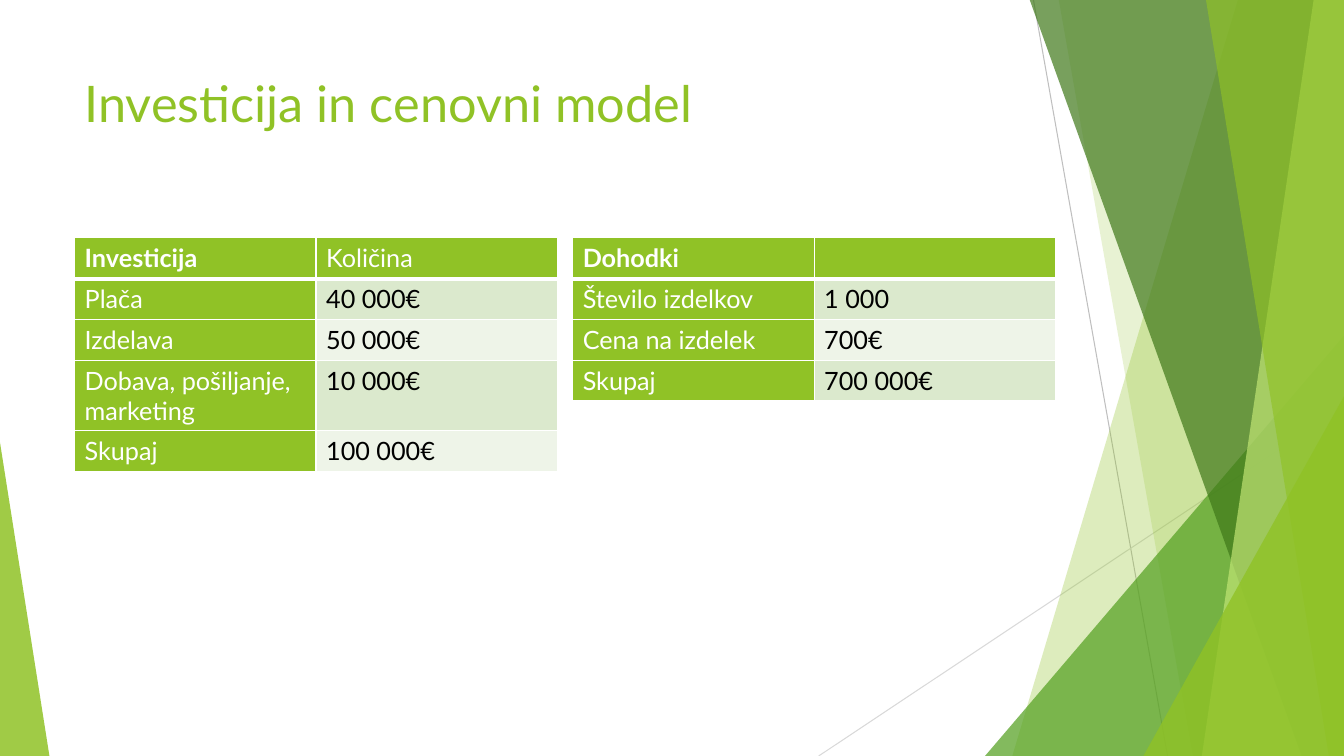
from dataclasses import dataclass

from lxml import etree
from pptx import Presentation
from pptx.dml.color import RGBColor
from pptx.enum.shapes import MSO_CONNECTOR, MSO_SHAPE
from pptx.oxml.ns import qn
from pptx.util import Inches, Pt

LINE = MSO_CONNECTOR.STRAIGHT
WEDGE = MSO_SHAPE.ISOSCELES_TRIANGLE


@dataclass(frozen=True)
class Theme:
    font: str = "Lato"
    lime: str = "90C226"
    leaf: str = "54A021"
    moss: str = "3F7819"
    pale: str = "C0E474"
    white: str = "FFFFFF"
    black: str = "000000"
    bands: tuple = ("DBE9CD", "EEF4E8")
    head: int = 36
    body: int = 18


T = Theme()
WIDE, HIGH = 13.33, 7.5
LEFT, TOP = 0.74, 2.36
COL, ROW, STEP = 2.395, 0.405, 4.94

TITLE = "Investicija in cenovni model"
TABLES = [
    [("Investicija", "Količina"),
     ("Plača", "40 000€"),
     ("Izdelava", "50 000€"),
     ("Dobava, pošiljanje, marketing", "10 000€"),
     ("Skupaj", "100 000€")],
    [("Dohodki", ""),
     ("Število izdelkov", "1 000"),
     ("Cena na izdelek", "700€"),
     ("Skupaj", "700 000€")],
]
RULES = [
    (10.25, 0, 11.58, HIGH, "BFBFBF"),
    (WIDE, 4.03, 8.12, HIGH, "D9D9D9"),
]
DECOR = [
    ("veil", 12.28, 10.04, T.lime, 30),
    ("veil", 10.5, 11.83, T.lime, 20),
    ("wedge", 9.77, 3.33, 3.56, 1, T.leaf, 72),
    ("veil", 10.21, 12.91, T.moss, 70),
    ("veil", 13.03, 11.92, T.pale, 70),
    ("veil", 11.96, 13.18, T.lime, 65),
    ("wedge", 11.34, 3.93, 1.99, 1, T.lime, 80),
    ("wedge", 0, 4.39, 0.49, 0, T.lime, 85),
]


def rgb(tint):
    return RGBColor.from_string(tint)


def style(para, size, tint, bold=False):
    font = para.font
    font.name, font.size, font.bold = T.font, Pt(size), bold
    font.color.rgb = rgb(tint)


def paint(shape, tint, alpha):
    shape.shadow.inherit = False
    shape.line.fill.background()
    shape.fill.solid()
    shape.fill.fore_color.rgb = rgb(tint)
    color = shape._element.spPr.find(qn("a:solidFill")).find(qn("a:srgbClr"))
    etree.SubElement(color, qn("a:alpha"), val=str(alpha * 1000))


def rule(shapes, x1, y1, x2, y2, tint):
    line = shapes.add_connector(LINE, *map(Inches, (x1, y1, x2, y2)))
    line.line.color.rgb = rgb(tint)
    line.line.width = Pt(0.75)
    etree.SubElement(line._element.spPr, qn("a:effectLst"))


def veil(shapes, top, foot, tint, alpha):
    pen = shapes.build_freeform(Inches(top), Inches(-0.01))
    ends = [(WIDE, -0.01), (WIDE, HIGH), (foot, HIGH)]
    pen.add_line_segments([(Inches(x), Inches(y)) for x, y in ends])
    paint(pen.convert_to_shape(), tint, alpha)


def wedge(shapes, x, y, wide, peak, tint, alpha):
    shape = shapes.add_shape(WEDGE, *map(Inches, (x, y, wide, HIGH - y)))
    shape.adjustments[0] = peak
    paint(shape, tint, alpha)


def border(cell, head):
    props = cell._tc.get_or_add_tcPr()
    for spot, side in enumerate("LRTB"):
        thick = 3 if head and side == "B" else 1
        if side == "T" and not head:
            thick = 1
        edge = etree.Element(qn("a:ln" + side), w=str(Pt(thick)))
        fill = etree.SubElement(edge, qn("a:solidFill"))
        etree.SubElement(fill, qn("a:srgbClr"), val=T.white)
        props.insert(spot, edge)


def grid(shapes, rows, left):
    size = (left, TOP, 2 * COL, len(rows) * ROW)
    table = shapes.add_table(len(rows), 2, *map(Inches, size)).table
    for r, row in enumerate(rows):
        table.rows[r].height = Inches(0.7 if len(row[0]) > 20 else ROW)
        for c, text in enumerate(row):
            cell = table.cell(r, c)
            green = r == 0 or c == 0
            cell.text = text
            cell.fill.solid()
            cell.fill.fore_color.rgb = rgb(T.lime if green else T.bands[(r - 1) % 2])
            style(cell.text_frame.paragraphs[0], T.body,
                  T.white if green else T.black, r == c == 0)
            border(cell, r == 0)


def main():
    deck = Presentation()
    deck.slide_width, deck.slide_height = Inches(WIDE), Inches(HIGH)
    shapes = deck.slides.add_slide(deck.slide_layouts[6]).shapes
    for item in RULES:
        rule(shapes, *item)
    draw = {"veil": veil, "wedge": wedge}
    for kind, *spec in DECOR:
        draw[kind](shapes, *spec)
    frame = shapes.add_textbox(*map(Inches, (LEFT, 0.67, 9.4, 1.44))).text_frame
    frame.word_wrap = True
    frame.text = TITLE
    style(frame.paragraphs[0], T.head, T.lime)
    for n, rows in enumerate(TABLES):
        grid(shapes, rows, LEFT + n * STEP)
    deck.save("out.pptx")


if __name__ == "__main__":
    main()
